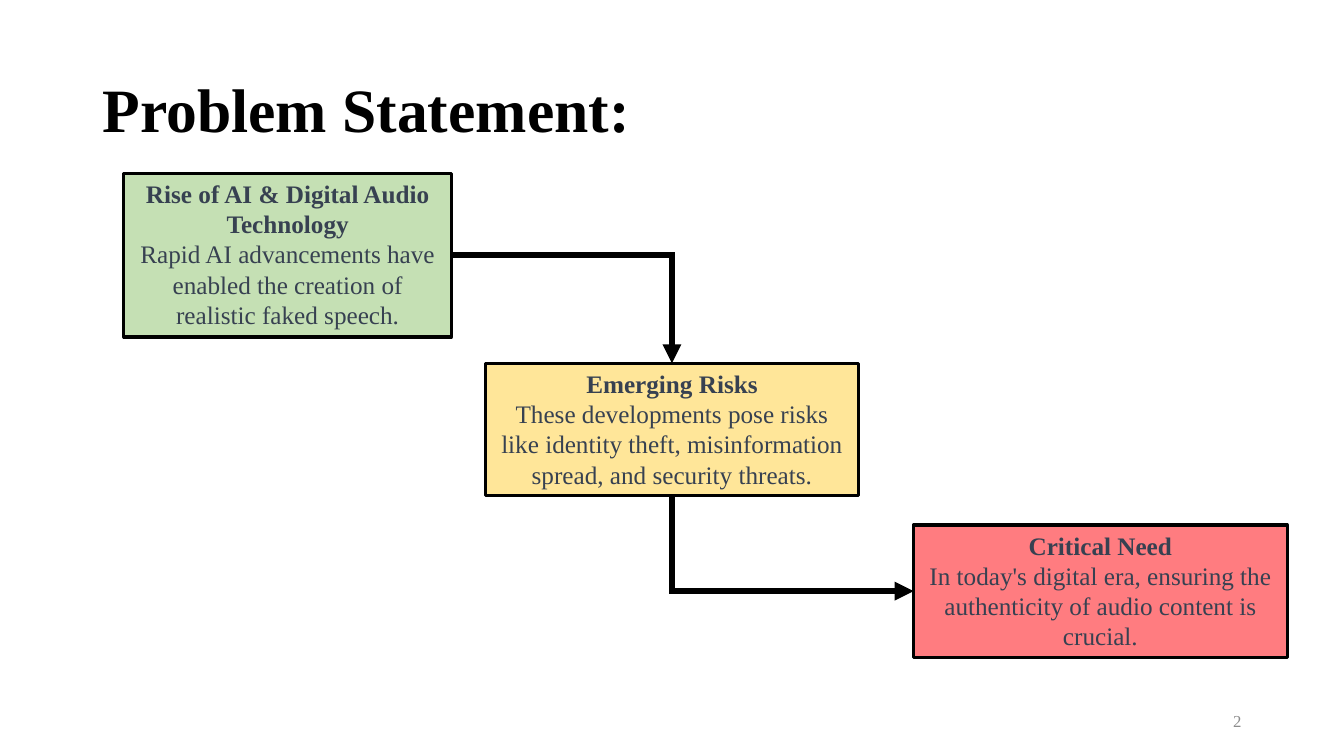
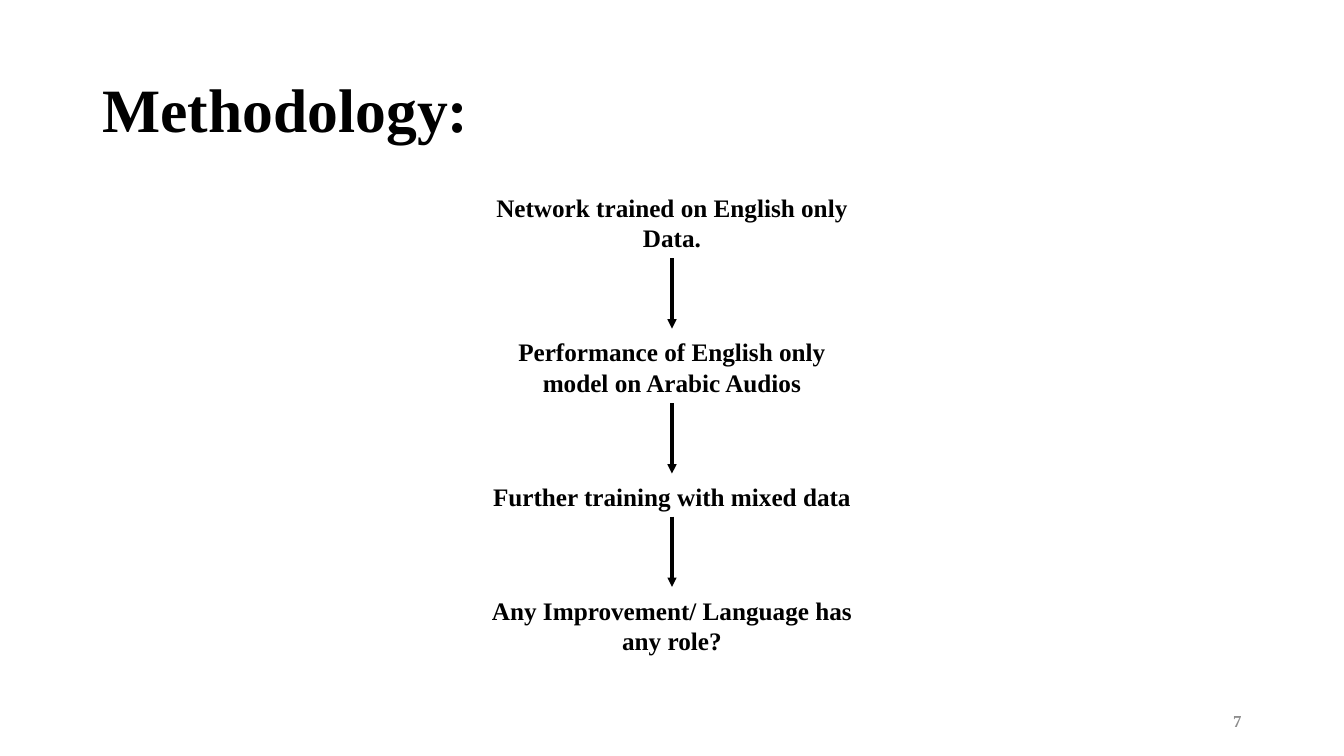
from dataclasses import dataclass

from lxml.etree import SubElement
from pptx import Presentation
from pptx.dml.color import RGBColor
from pptx.enum.shapes import MSO_CONNECTOR, MSO_SHAPE
from pptx.enum.text import MSO_ANCHOR, MSO_AUTO_SIZE, PP_ALIGN
from pptx.oxml.ns import qn
from pptx.util import Emu, Pt

PX = 9525  # EMU in one px, 96 px to the inch
SLIDE_SIZE = (1280, 720)
TITLE_BOX = (88, 38, 1104, 139)
NUMBER_BOX = (904, 667, 288, 38)
TOP, LEFT, BOTTOM, RIGHT = range(4)  # connection sites of a rectangle


@dataclass(frozen=True)
class Theme:
    font: str = "Times New Roman"
    ink: str = "000000"
    card_text: str = "374151"
    number_text: str = "8C8C8C"
    cause: str = "C5E0B4"
    risk: str = "FFE699"
    need: str = "FF7C80"
    title_size: int = 44
    body_size: int = 18
    number_size: int = 12
    border: float = 2.25
    heavy_line: float = 4.5


THEME = Theme()

CARDS = [
    ((118, 165, 312, 156), THEME.cause, "Rise of AI & Digital Audio Technology",
     "Rapid AI advancements have enabled the creation of realistic faked speech."),
    ((462, 346, 356, 126), THEME.risk, "Emerging Risks",
     "These developments pose risks like identity theft, misinformation spread, "
     "and security threats."),
    ((870, 500, 356, 126), THEME.need, "Critical Need",
     "In today's digital era, ensuring the authenticity of audio content is crucial."),
]

# Step text and box height
STEPS = [
    ("Network trained on English only Data.", 68),
    ("Performance of English only model on Arabic Audios", 68),
    ("Further training with mixed data", 38),
    ("Any Improvement/ Language has any role?", 68),
]
STEP_LEFT, STEP_TOP, STEP_WIDTH = 459, 178, 362
STEP_GAP, ARROW_LENGTH = 70, 67


def px(*lengths):
    return [Emu(length * PX) for length in lengths]


def apply(target, formats):
    for name, value in formats.items():
        setattr(target, name, value)


def place(shape, box):
    apply(shape, dict(zip(("left", "top", "width", "height"), px(*box))))


def write(frame, lines, size, color, align, **frame_formats):
    """Fill a text frame with (text, bold) paragraphs."""
    apply(frame, {"word_wrap": True, **frame_formats})
    for index, (text, bold) in enumerate(lines):
        paragraph = frame.add_paragraph() if index else frame.paragraphs[0]
        paragraph.alignment = align
        run = paragraph.add_run()
        run.text = text
        apply(run.font, {"name": THEME.font, "size": Pt(size), "bold": bold})
        run.font.color.rgb = RGBColor.from_string(color)


def add_page(deck, title, number, number_bold=False):
    """Add a slide with the shared title and page number."""
    slide = deck.slides.add_slide(deck.slide_layouts[5])
    heading = slide.shapes.title
    place(heading, TITLE_BOX)
    write(heading.text_frame, [(title, True)], THEME.title_size, THEME.ink,
          PP_ALIGN.LEFT, vertical_anchor=MSO_ANCHOR.MIDDLE,
          auto_size=MSO_AUTO_SIZE.NONE)
    heading.text_frame.paragraphs[0].line_spacing = 0.9
    page_number = slide.shapes.add_textbox(*px(*NUMBER_BOX))
    write(page_number.text_frame, [(number, number_bold)], THEME.number_size,
          THEME.number_text, PP_ALIGN.RIGHT, vertical_anchor=MSO_ANCHOR.MIDDLE)
    return slide


def add_card(slide, box, fill, heading, detail):
    card = slide.shapes.add_shape(MSO_SHAPE.RECTANGLE, *px(*box))
    card.shadow.inherit = False
    card.fill.solid()
    card.fill.fore_color.rgb = RGBColor.from_string(fill)
    card.line.color.rgb = RGBColor.from_string(THEME.ink)
    card.line.width = Pt(THEME.border)
    write(card.text_frame, [(heading, True), (detail, False)], THEME.body_size,
          THEME.card_text, PP_ALIGN.CENTER, vertical_anchor=MSO_ANCHOR.TOP,
          auto_size=MSO_AUTO_SIZE.SHAPE_TO_FIT_TEXT)
    return card


def add_step(slide, text, top, height):
    step = slide.shapes.add_textbox(*px(STEP_LEFT, top, STEP_WIDTH, height))
    write(step.text_frame, [(text, True)], THEME.body_size, THEME.ink,
          PP_ALIGN.CENTER, auto_size=MSO_AUTO_SIZE.SHAPE_TO_FIT_TEXT)
    return step


def style_arrow(arrow, width):
    arrow.line.color.rgb = RGBColor.from_string(THEME.ink)
    arrow.line.width = Pt(width)
    properties = arrow._element.spPr
    outline = properties.find(qn("a:ln"))
    SubElement(outline, qn("a:miter"), lim="800000")
    SubElement(outline, qn("a:tailEnd"), type="triangle")
    SubElement(properties, qn("a:effectLst"))


def add_elbow(slide, source, source_side, target, target_side):
    """Join two cards with a one-bend arrow."""
    elbow = slide.shapes.add_connector(MSO_CONNECTOR.ELBOW, 0, 0, 0, 0)
    elbow.begin_connect(source, source_side)
    elbow.end_connect(target, target_side)
    properties = elbow._element.spPr
    properties.find(qn("a:prstGeom")).set("prst", "bentConnector2")
    if source_side == BOTTOM:
        # Turn the bend so that the arrow leaves downwards
        across, down = elbow.width, elbow.height
        shift = (across - down) // 2
        apply(elbow, {"left": elbow.left + shift, "top": elbow.top - shift,
                      "width": down, "height": across})
        turned = properties.find(qn("a:xfrm"))
        turned.set("rot", "16200000")
        turned.set("flipH", "1")
    style_arrow(elbow, THEME.heavy_line)


def add_down_arrow(slide, step, top):
    center = STEP_LEFT + STEP_WIDTH // 2
    arrow = slide.shapes.add_connector(
        MSO_CONNECTOR.STRAIGHT, *px(center, top, center, top + ARROW_LENGTH))
    arrow.begin_connect(step, BOTTOM)
    style_arrow(arrow, THEME.border)


def build_problem(deck):
    slide = add_page(deck, "Problem Statement:", "2")
    cause, risk, need = [add_card(slide, *card) for card in CARDS]
    add_elbow(slide, cause, RIGHT, risk, TOP)
    add_elbow(slide, risk, BOTTOM, need, LEFT)


def build_methodology(deck):
    slide = add_page(deck, "Methodology:", "7", number_bold=True)
    top = STEP_TOP
    for index, (text, height) in enumerate(STEPS, start=1):
        step = add_step(slide, text, top, height)
        if index < len(STEPS):
            add_down_arrow(slide, step, top + height)
        top += height + STEP_GAP


def main():
    deck = Presentation()
    deck.slide_width, deck.slide_height = px(*SLIDE_SIZE)
    build_problem(deck)
    build_methodology(deck)
    deck.save("out.pptx")


if __name__ == "__main__":
    main()
